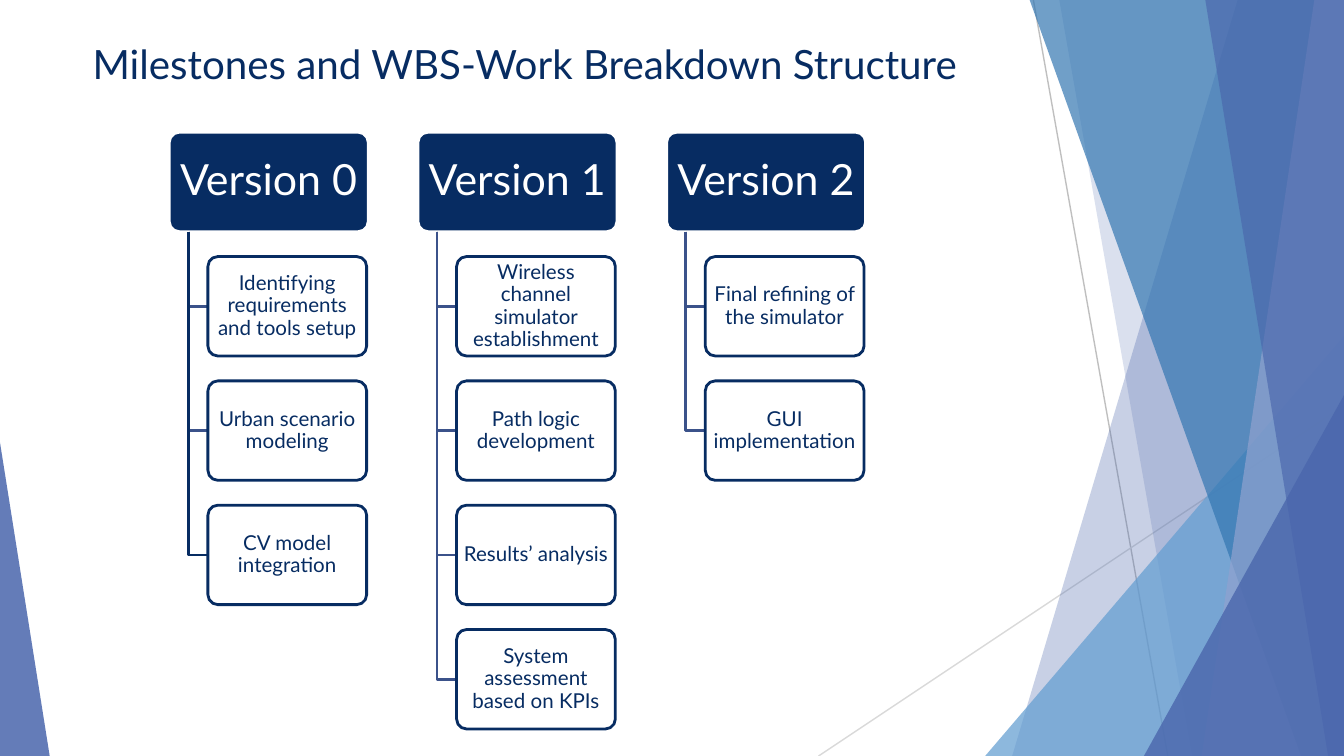
from pptx import Presentation
from pptx.dml.color import RGBColor
from pptx.enum.shapes import MSO_CONNECTOR, MSO_SHAPE
from pptx.enum.text import MSO_ANCHOR, MSO_AUTO_SIZE, PP_ALIGN
from pptx.oxml.ns import qn
from pptx.util import Cm, Pt
from lxml import etree

NAVY = RGBColor(0x07, 0x2C, 0x62)
TRUNK_BLUE = RGBColor(0x3B, 0x52, 0x8A)
INDIGO = RGBColor(0x4A, 0x66, 0xAC)
SKY = RGBColor(0x62, 0x9D, 0xD1)
OCEAN = RGBColor(0x34, 0x77, 0xB2)
LAVENDER = RGBColor(0x90, 0xA2, 0xCF)
GREY = RGBColor(0xBF, 0xBF, 0xBF)
PALE_GREY = RGBColor(0xD9, 0xD9, 0xD9)
WHITE = RGBColor(0xFF, 0xFF, 0xFF)

FONT = "Lato"
SLIDE_W, SLIDE_H = 25.4, 14.29

# Work breakdown grid, in centimetres
COLUMN_PITCH, ROW_PITCH = 4.7, 2.35
HEADER_W, BOX_H = 3.76, 1.88
TASK_INDENT, TASK_W = 0.73, 3.0
TRUNK_INDENT = 0.36

VERSIONS = [
    ("Version 0", ["Identifying requirements and tools setup",
                   "Urban scenario modeling",
                   "CV model integration"]),
    ("Version 1", ["Wireless channel simulator establishment",
                   "Path logic development",
                   "Results’ analysis",
                   "System assessment based on KPIs"]),
    ("Version 2", ["Final refining of the simulator",
                   "GUI implementation"]),
]


def fill_solid(shape, color, opacity=100):
    shape.shadow.inherit = False
    shape.fill.solid()
    shape.fill.fore_color.rgb = color
    if opacity < 100:
        solid = shape.fill._xPr.find(qn("a:solidFill"))
        etree.SubElement(solid[0], qn("a:alpha"), val=str(opacity * 1000))


def set_line(shape, color, width):
    shape.line.color.rgb = color
    shape.line.width = Pt(width)


def add_run(paragraph, text, size, color):
    run = paragraph.add_run()
    run.text = text
    run.font.name = FONT
    run.font.size = Pt(size)
    run.font.color.rgb = color


def add_path(slide, points, close):
    corners = [(Cm(x), Cm(y)) for x, y in points]
    builder = slide.shapes.build_freeform(*corners[0])
    builder.add_line_segments(corners[1:], close=close)
    return builder.convert_to_shape()


def add_ray(slide, start, end, color):
    ray = slide.shapes.add_connector(
        MSO_CONNECTOR.STRAIGHT, *[Cm(v) for v in start + end])
    set_line(ray, color, 0.75)
    etree.SubElement(ray._element.spPr, qn("a:effectLst"))


def add_band(slide, top_x, bottom_x, color, opacity):
    """Facet between a slanted left side and the right slide edge."""
    band = add_path(slide, [(top_x, 0), (SLIDE_W, 0), (SLIDE_W, SLIDE_H),
                            (bottom_x, SLIDE_H)], True)
    fill_solid(band, color, opacity)
    band.line.fill.background()


def add_corner(slide, left, top, width, apex, color, opacity):
    """Right triangle standing on the bottom edge."""
    corner = slide.shapes.add_shape(
        MSO_SHAPE.ISOSCELES_TRIANGLE, Cm(left), Cm(top), Cm(width), Cm(SLIDE_H - top))
    corner.adjustments[0] = apex
    fill_solid(corner, color, opacity)
    corner.line.fill.background()


def add_facets(slide):
    add_ray(slide, (19.53, 0), (22.07, SLIDE_H), GREY)
    add_ray(slide, (SLIDE_W, 7.67), (15.47, SLIDE_H), PALE_GREY)
    add_band(slide, 23.39, 19.13, INDIGO, 30)
    add_band(slide, 20.02, 22.53, INDIGO, 20)
    add_corner(slide, 18.62, 6.35, 6.78, 1, SKY, 72)
    add_band(slide, 19.46, 24.59, OCEAN, 70)
    add_band(slide, 24.84, 22.71, LAVENDER, 70)
    add_band(slide, 22.78, 25.1, INDIGO, 65)
    add_corner(slide, 21.62, 7.47, 3.78, 1, INDIGO, 80)
    add_corner(slide, 0, 8.36, 0.94, 0, INDIGO, 85)


def add_title(slide, left, top, width, height):
    title = slide.shapes.title
    title.left, title.top = Cm(left), Cm(top)
    title.width, title.height = Cm(width), Cm(height)
    frame = title.text_frame
    frame.auto_size = MSO_AUTO_SIZE.NONE
    frame.vertical_anchor = MSO_ANCHOR.TOP
    frame.margin_left = frame.margin_right = Cm(0.25)
    frame.margin_top = frame.margin_bottom = Cm(0.25)
    paragraph = frame.paragraphs[0]
    paragraph.alignment = PP_ALIGN.LEFT
    add_run(paragraph, "Milestones and WBS-Work Breakdown Structure", 21.6, NAVY)


def add_box(slide, left, top, width, text, size, text_color, fill, line, margins):
    box = slide.shapes.add_shape(
        MSO_SHAPE.ROUNDED_RECTANGLE, Cm(left), Cm(top), Cm(width), Cm(BOX_H))
    box.adjustments[0] = 0.1
    fill_solid(box, *fill)
    set_line(box, line, 1.5)
    frame = box.text_frame
    frame.word_wrap = True
    frame.vertical_anchor = MSO_ANCHOR.MIDDLE
    frame.margin_left = frame.margin_right = Cm(margins[0])
    frame.margin_top = frame.margin_bottom = Cm(margins[1])
    paragraph = frame.paragraphs[0]
    paragraph.alignment = PP_ALIGN.CENTER
    paragraph.line_spacing = 0.9
    add_run(paragraph, text, size, text_color)


def add_version(slide, left, top, version, tasks):
    # Version header
    add_box(slide, left, top, HEADER_W, version, 23, WHITE,
            (NAVY,), WHITE, (0.12, 0.08))
    trunk_x, task_x = left + TRUNK_INDENT, left + TASK_INDENT
    for row, task in enumerate(tasks, start=1):
        task_y = top + row * ROW_PITCH
        branch_y = task_y + BOX_H / 2
        # Branch from the header to the task
        branch = add_path(slide, [(trunk_x, top + BOX_H), (trunk_x, branch_y),
                                  (task_x, branch_y)], False)
        branch.shadow.inherit = False
        branch.fill.background()
        darkest = version == "Version 0" and row == len(tasks)
        set_line(branch, NAVY if darkest else TRUNK_BLUE, 1.5)
        # Task box
        add_box(slide, task_x, task_y, TASK_W, task, 11, NAVY,
                (WHITE, 90), NAVY, (0.05, 0.05))


def add_breakdown(slide, left, top):
    for column, (version, tasks) in enumerate(VERSIONS):
        add_version(slide, left + column * COLUMN_PITCH, top, version, tasks)


def main():
    deck = Presentation()
    deck.slide_width, deck.slide_height = Cm(SLIDE_W), Cm(SLIDE_H)
    slide = deck.slides.add_slide(deck.slide_layouts[5])
    add_facets(slide)
    add_title(slide, 1.5, 0.5, 17.53, 1.52)
    add_breakdown(slide, 3.2, 2.5)
    deck.save("out.pptx")


if __name__ == "__main__":
    main()
